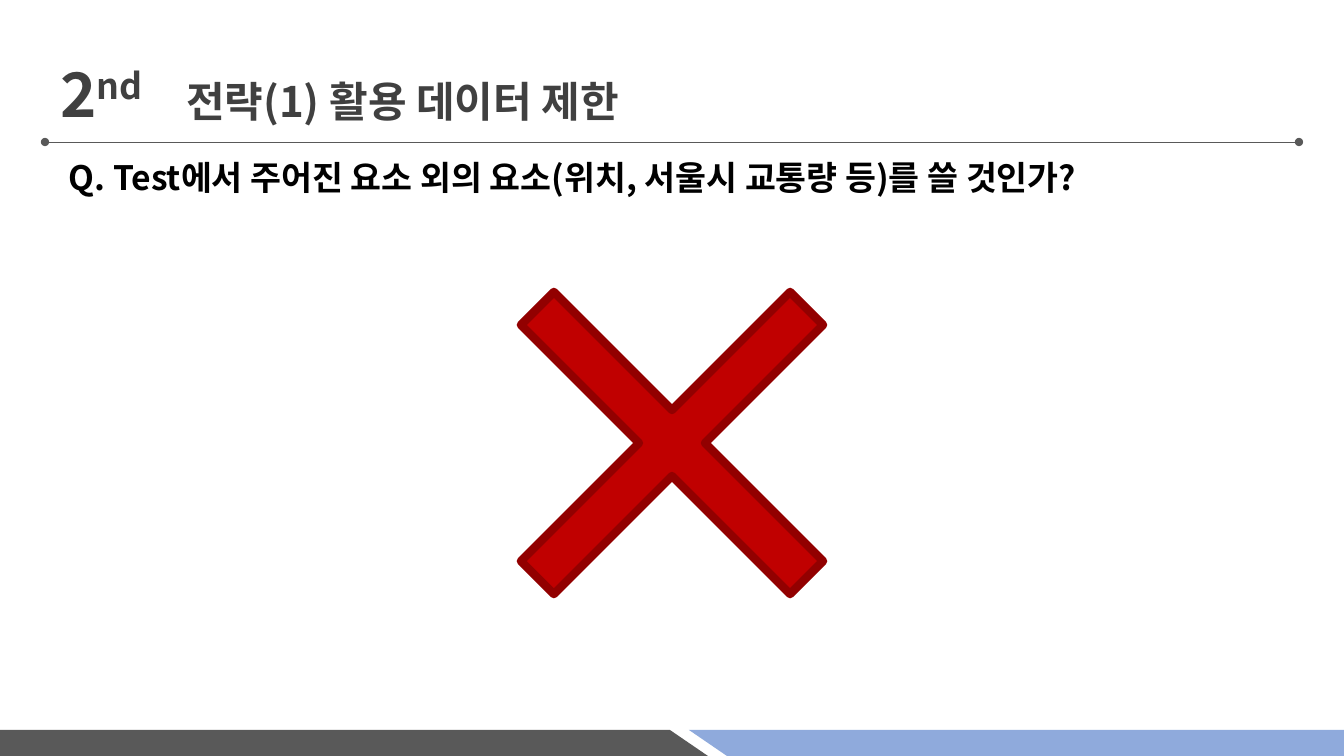
from lxml import etree
from pptx import Presentation
from pptx import util as u
from pptx.dml.color import RGBColor
from pptx.enum import shapes, text
from pptx.oxml.ns import qn

TITLE = [("2", 44, 0), ("nd", 44, 30000), ("\t전략(1) 활용 데이터 제한", 30, 0)]
QUESTION = "Q. Test에서 주어진 요소 외의 요소(위치, 서울시 교통량 등)를 쓸 것인가?"
FONT = "Noto Sans CJK KR"
COLORS = {"gray": "595959", "blue": "8FAADC", "title": "404040",
          "black": "000000", "red": "C00000", "dark red": "920000"}

# Lengths in px
SLIDE = (1344, 756)
TITLE_BOX = (50, 30, 1234, 126)
TITLE_TAB = 126
QUESTION_BOX = (59, 158, 1015, 50)
RULE = (45, 1299, 142)  # left, right, y
CROSS = (413, 184, 518, 518)
BAND = [(-12, 730), (670, 730), (746, 782), (-11, 782)]
BAND_CENTER = (717.5, 756)


def px(n):
    return u.Emu(round(n * u.Inches(1) / 100.8))


def rgb(name):
    return RGBColor.from_string(COLORS[name])


def format_run(r, size, color):
    r.font.size = u.Pt(size)
    r.font.bold = True
    r.font.name = FONT
    r.font.color.rgb = rgb(color)
    ea = etree.SubElement(r.font._element, qn("a:ea"))
    ea.set("typeface", FONT)


def add_band(slide, points, color):
    start, *rest = [(px(x), px(y)) for x, y in points]
    builder = slide.shapes.build_freeform(*start)
    builder.add_line_segments(rest, close=True)
    sp = builder.convert_to_shape()
    sp.shadow.inherit = False
    sp.fill.solid()
    sp.fill.fore_color.rgb = rgb(color)
    sp.line.fill.background()


def add_rule(slide):
    left, right, y = RULE
    line = slide.shapes.add_connector(shapes.MSO_CONNECTOR.STRAIGHT,
                                      px(left), px(y), px(right), px(y))
    line.line.color.rgb = rgb("gray")
    line.line.width = u.Pt(0.5)
    ln = line.line._get_or_add_ln()
    for end in ("a:headEnd", "a:tailEnd"):
        etree.SubElement(ln, qn(end)).set("type", "oval")
    etree.SubElement(line._element.spPr, qn("a:effectLst"))


def add_title(slide):
    sp = slide.shapes.title
    sp.left, sp.top, sp.width, sp.height = map(px, TITLE_BOX)
    tf = sp.text_frame
    tf.auto_size = text.MSO_AUTO_SIZE.NONE
    tf.vertical_anchor = text.MSO_ANCHOR.MIDDLE
    p = tf.paragraphs[0]
    p.alignment = text.PP_ALIGN.LEFT
    tabs = etree.SubElement(p._p.get_or_add_pPr(), qn("a:tabLst"))
    tab = etree.SubElement(tabs, qn("a:tab"))
    tab.set("pos", str(px(TITLE_TAB)))
    tab.set("algn", "l")
    for words, size, baseline in TITLE:
        r = p.add_run()
        r.text = words
        format_run(r, size, "title")
        if baseline:
            r.font._element.set("baseline", str(baseline))


def add_question(slide):
    tf = slide.shapes.add_textbox(*map(px, QUESTION_BOX)).text_frame
    tf.word_wrap = True
    tf.text = QUESTION
    p = tf.paragraphs[0]
    p.line_spacing = 0.85
    format_run(p.runs[0], 24, "black")


def add_cross(slide):
    sp = slide.shapes.add_shape(shapes.MSO_SHAPE.MATH_MULTIPLY, *map(px, CROSS))
    sp.adjustments[0] = 0.09
    sp.shadow.inherit = False
    sp.fill.solid()
    sp.fill.fore_color.rgb = rgb("red")
    sp.line.color.rgb = rgb("dark red")
    sp.line.width = u.Pt(6)


def main():
    prs = Presentation()
    prs.slide_width, prs.slide_height = map(px, SLIDE)
    slide = prs.slides.add_slide(prs.slide_layouts[5])
    cx, cy = BAND_CENTER
    half_turn = [(2 * cx - x, 2 * cy - y) for x, y in BAND]
    add_band(slide, BAND, "gray")
    add_band(slide, half_turn, "blue")
    add_rule(slide)
    add_title(slide)
    add_question(slide)
    add_cross(slide)
    prs.save("out.pptx")


if __name__ == "__main__":
    main()
